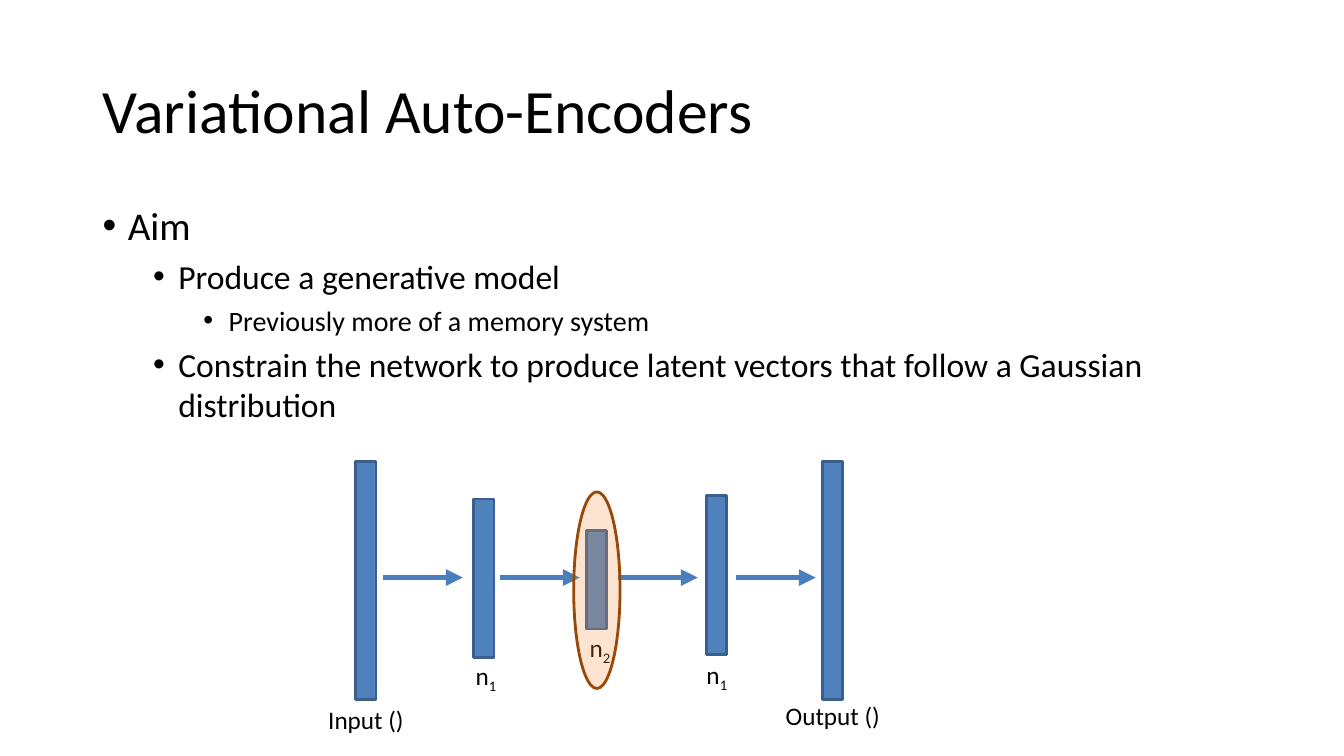
from dataclasses import dataclass

from lxml.etree import SubElement
from pptx import Presentation
from pptx.dml.color import RGBColor
from pptx.enum.shapes import MSO_CONNECTOR, MSO_SHAPE
from pptx.enum.text import MSO_ANCHOR, PP_ALIGN
from pptx.oxml.ns import qn
from pptx.util import Inches, Pt


@dataclass(frozen=True)
class Theme:
    font: str = "Calibri"
    text: RGBColor = RGBColor.from_string("000000")
    layer_fill: RGBColor = RGBColor.from_string("4F81BD")
    layer_line: RGBColor = RGBColor.from_string("3A5F8C")
    arrow: RGBColor = RGBColor.from_string("4B7EBC")
    latent_fill: RGBColor = RGBColor.from_string("F79646")
    latent_line: RGBColor = RGBColor.from_string("984807")
    title_size: int = 44
    bullet_sizes: tuple = (28, 24, 20)
    label_size: int = 18
    outline_width: int = 2
    arrow_width: int = 4


THEME = Theme()

TITLE = "Variational Auto-Encoders"
BULLETS = [
    (0, "Aim"),
    (1, "Produce a generative model"),
    (2, "Previously more of a memory system"),
    (1, "Constrain the network to produce latent vectors that follow a Gaussian distribution"),
]

# Positions below are relative to the diagram box: left, top, height
LAYERS = [(0.63, 0, 2.36), (1.8, 0.37, 1.57), (2.92, 0.68, 0.98),
          (4.11, 0.34, 1.57), (5.26, 0, 2.36)]
LAYER_WIDTH = 0.2
ARROW_LEFTS = [0.9, 2.06, 3.23, 4.4]
ARROW_TOP, ARROW_LENGTH = 1.15, 0.79
# Left, top, text, subscript
LABELS = [(0, 2.36, "Input ()", ""), (1.19, 1.92, "n", "1"), (2.32, 1.64, "n", "2"),
          (3.48, 1.91, "n", "1"), (4.63, 2.32, "Output ()", "")]
LABEL_WIDTH, LABEL_HEIGHT = 1.46, 0.4
LATENT_OVAL = (2.79, 0.3, 0.46, 1.95)


def style_font(font, size):
    font.name = THEME.font
    font.size = Pt(size)
    font.color.rgb = THEME.text


def add_title(page, left, top, width, height):
    title = page.shapes.title
    title.left, title.top = Inches(left), Inches(top)
    title.width, title.height = Inches(width), Inches(height)
    frame = title.text_frame
    frame.text = TITLE
    frame.vertical_anchor = MSO_ANCHOR.MIDDLE
    para = frame.paragraphs[0]
    para.alignment = PP_ALIGN.LEFT
    para.line_spacing = 0.9
    style_font(para.runs[0].font, THEME.title_size)


def add_bullets(page, left, top, width, height):
    box = page.shapes.add_textbox(Inches(left), Inches(top), Inches(width), Inches(height))
    frame = box.text_frame
    frame.word_wrap = True
    for index, (level, text) in enumerate(BULLETS):
        para = frame.add_paragraph() if index else frame.paragraphs[0]
        para.text = text
        para.level = level
        if index:
            para.space_before = Pt(5)
        else:
            para.line_spacing = 0.9
        properties = para._p.get_or_add_pPr()
        properties.set("marL", str(Inches(0.25 + 0.5 * level)))
        properties.set("indent", str(Inches(-0.25)))
        SubElement(properties, qn("a:buFont"), typeface="Arial")
        SubElement(properties, qn("a:buChar"), char="•")
        style_font(para.runs[0].font, THEME.bullet_sizes[level])


def add_outlined(page, kind, left, top, width, height, fill, line):
    shape = page.shapes.add_shape(kind, Inches(left), Inches(top), Inches(width), Inches(height))
    shape.shadow.inherit = False
    shape.fill.solid()
    shape.fill.fore_color.rgb = fill
    shape.line.color.rgb = line
    shape.line.width = Pt(THEME.outline_width)
    return shape


def add_arrow(page, left, top, length):
    arrow = page.shapes.add_connector(MSO_CONNECTOR.STRAIGHT, Inches(left), Inches(top),
                                      Inches(left + length), Inches(top))
    arrow.line.color.rgb = THEME.arrow
    arrow.line.width = Pt(THEME.arrow_width)
    SubElement(arrow.line._get_or_add_ln(), qn("a:tailEnd"), type="triangle")
    SubElement(arrow._element.spPr, qn("a:effectLst"))


def add_label(page, left, top, text, subscript):
    box = page.shapes.add_textbox(Inches(left), Inches(top),
                                  Inches(LABEL_WIDTH), Inches(LABEL_HEIGHT))
    box.text_frame.word_wrap = True
    para = box.text_frame.paragraphs[0]
    para.text = text
    para.alignment = PP_ALIGN.CENTER
    if subscript:
        span = para.add_run()
        span.text = subscript
        span.font._element.set("baseline", "-25000")
    for span in para.runs:
        style_font(span.font, THEME.label_size)


def add_network(page, left, top):
    # Layers
    for x, y, height in LAYERS:
        add_outlined(page, MSO_SHAPE.RECTANGLE, left + x, top + y, LAYER_WIDTH, height,
                     THEME.layer_fill, THEME.layer_line)
    # Flow between layers
    for x in ARROW_LEFTS:
        add_arrow(page, left + x, top + ARROW_TOP, ARROW_LENGTH)
    # Layer names
    for x, y, text, subscript in LABELS:
        add_label(page, left + x, top + y, text, subscript)
    # Translucent highlight of the latent layer
    x, y, width, height = LATENT_OVAL
    oval = add_outlined(page, MSO_SHAPE.OVAL, left + x, top + y, width, height,
                        THEME.latent_fill, THEME.latent_line)
    color = oval._element.spPr.find(qn("a:solidFill")).find(qn("a:srgbClr"))
    SubElement(color, qn("a:alpha"), val="25000")


def main():
    deck = Presentation()
    deck.slide_width, deck.slide_height = Inches(13.33), Inches(7.5)
    page = deck.slides.add_slide(deck.slide_layouts[5])
    add_title(page, 0.92, 0.4, 11.5, 1.45)
    add_bullets(page, 0.92, 2, 11.5, 2.4)
    add_network(page, 2.9, 4.58)
    deck.save("out.pptx")


if __name__ == "__main__":
    main()
